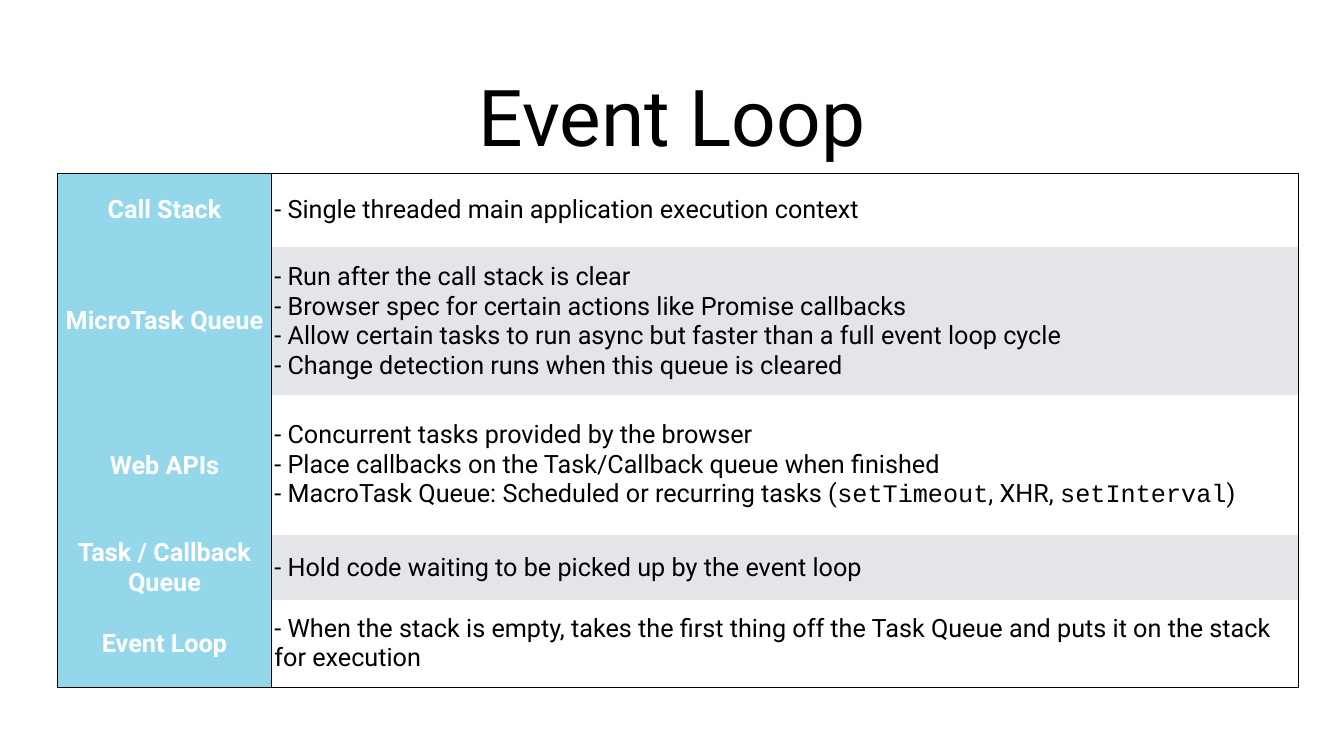
from lxml import etree
from pptx import Presentation
from pptx.dml.color import RGBColor
from pptx.enum.text import MSO_ANCHOR, MSO_AUTO_SIZE, PP_ALIGN
from pptx.oxml.ns import qn
from pptx.util import Pt

CENTER, LEFT = PP_ALIGN.CENTER, PP_ALIGN.LEFT
MIDDLE = MSO_ANCHOR.MIDDLE
NO_AUTOFIT = MSO_AUTO_SIZE.NONE

BLACK = RGBColor(0x00, 0x00, 0x00)
WHITE = RGBColor(0xFF, 0xFF, 0xFF)
SKY = RGBColor(0x95, 0xD7, 0xEA)
GRAY = RGBColor(0xE3, 0xE5, 0xE8)

TEXT_FONT, CODE_FONT = "Roboto", "Courier New"
PLAIN_TABLE_STYLE = "{2D5ABB26-0587-4C30-8999-92F81FD0307C}"
INSET = 4

TITLE = "Event Loop"
# Term, row height, paragraphs; a newline breaks a line, backticks enclose code
TERMS = [
    ("Call Stack", 106, ["- Single threaded main application execution context"]),
    ("MicroTask Queue", 212, [
        "- Run after the call stack is clear\n"
        "- Browser spec for certain actions like Promise callbacks\n"
        "- Allow certain tasks to run async but faster than a full event loop cycle\n"
        "- Change detection runs when this queue is cleared"]),
    ("Web APIs", 200, [
        "- Concurrent tasks provided by the browser",
        "- Place callbacks on the Task/Callback queue when finished",
        "- MacroTask Queue: Scheduled or recurring tasks "
        "(`setTimeout`, XHR, `setInterval`)"]),
    ("Task / Callback Queue", 91,
     ["- Hold code waiting to be picked up by the event loop"]),
    ("Event Loop", 124, [
        "- When the stack is empty, takes the first thing off the Task Queue "
        "and puts it on the stack for execution"]),
]
TITLE_BOX = {"left": 133, "top": 75, "width": 1654, "height": 180}
TABLE_LEFT, TABLE_TOP = 82, 247
COLUMN_WIDTHS = [306, 1467]


def set_margins(target):
    for side in ("left", "right", "top", "bottom"):
        setattr(target, f"margin_{side}", Pt(INSET))


def format_font(font, name, size, color, bold=False):
    values = {"name": name, "size": Pt(size), "bold": bold}
    for key, value in values.items():
        setattr(font, key, value)
    font.color.rgb = color


def add_borders(cell, sides):
    properties = cell._tc.get_or_add_tcPr()
    for side in sides:
        line = etree.SubElement(properties, qn(f"a:ln{side}"), w=str(Pt(1)))
        fill = etree.SubElement(line, qn("a:solidFill"))
        etree.SubElement(fill, qn("a:srgbClr"), val=str(BLACK))


def write_paragraph(paragraph, text, align, color, bold):
    paragraph.alignment = align
    for part, piece in enumerate(text.split("`")):
        font_name = CODE_FONT if part % 2 else TEXT_FONT
        for index, line in enumerate(piece.split("\n")):
            if index:
                paragraph.add_line_break()
            run = paragraph.add_run()
            run.text = line
            format_font(run.font, font_name, 36, color, bold)


def fill_cell(cell, paragraphs, fill, sides, align, color, bold):
    add_borders(cell, sides)  # borders must precede the fill in the XML
    cell.fill.solid()
    cell.fill.fore_color.rgb = fill
    cell.vertical_anchor = MIDDLE
    set_margins(cell)
    frame = cell.text_frame
    for index, text in enumerate(paragraphs):
        paragraph = frame.add_paragraph() if index else frame.paragraphs[0]
        write_paragraph(paragraph, text, align, color, bold)


def add_title(slide):
    title = slide.shapes.title
    for key, value in TITLE_BOX.items():
        setattr(title, key, Pt(value))
    frame = title.text_frame
    frame.text = TITLE
    frame.auto_size = NO_AUTOFIT
    frame.vertical_anchor = MIDDLE
    set_margins(frame)
    paragraph = frame.paragraphs[0]
    paragraph.alignment = CENTER
    format_font(paragraph.runs[0].font, TEXT_FONT, 112, BLACK)


def add_terms_table(slide):
    total_height = sum(height for _, height, _ in TERMS)
    table = slide.shapes.add_table(
        len(TERMS), len(COLUMN_WIDTHS), Pt(TABLE_LEFT), Pt(TABLE_TOP),
        Pt(sum(COLUMN_WIDTHS)), Pt(total_height)).table
    table.first_row = table.horz_banding = False
    table._tbl.tblPr.find(qn("a:tableStyleId")).text = PLAIN_TABLE_STYLE
    for column, width in zip(table.columns, COLUMN_WIDTHS):
        column.width = Pt(width)
    last = len(TERMS) - 1
    for index, (term, height, details) in enumerate(TERMS):
        table.rows[index].height = Pt(height)
        sides = ["L", "R"] + ["T"] * (index == 0) + ["B"] * (index == last)
        band = GRAY if index % 2 else WHITE
        fill_cell(table.cell(index, 0), [term], SKY, sides, CENTER, WHITE, True)
        fill_cell(table.cell(index, 1), details, band, sides, LEFT, BLACK, False)


def main():
    deck = Presentation()
    deck.slide_width, deck.slide_height = Pt(1920), Pt(1080)
    slide = deck.slides.add_slide(deck.slide_layouts[5])
    add_title(slide)
    add_terms_table(slide)
    deck.save("out.pptx")


if __name__ == "__main__":
    main()
